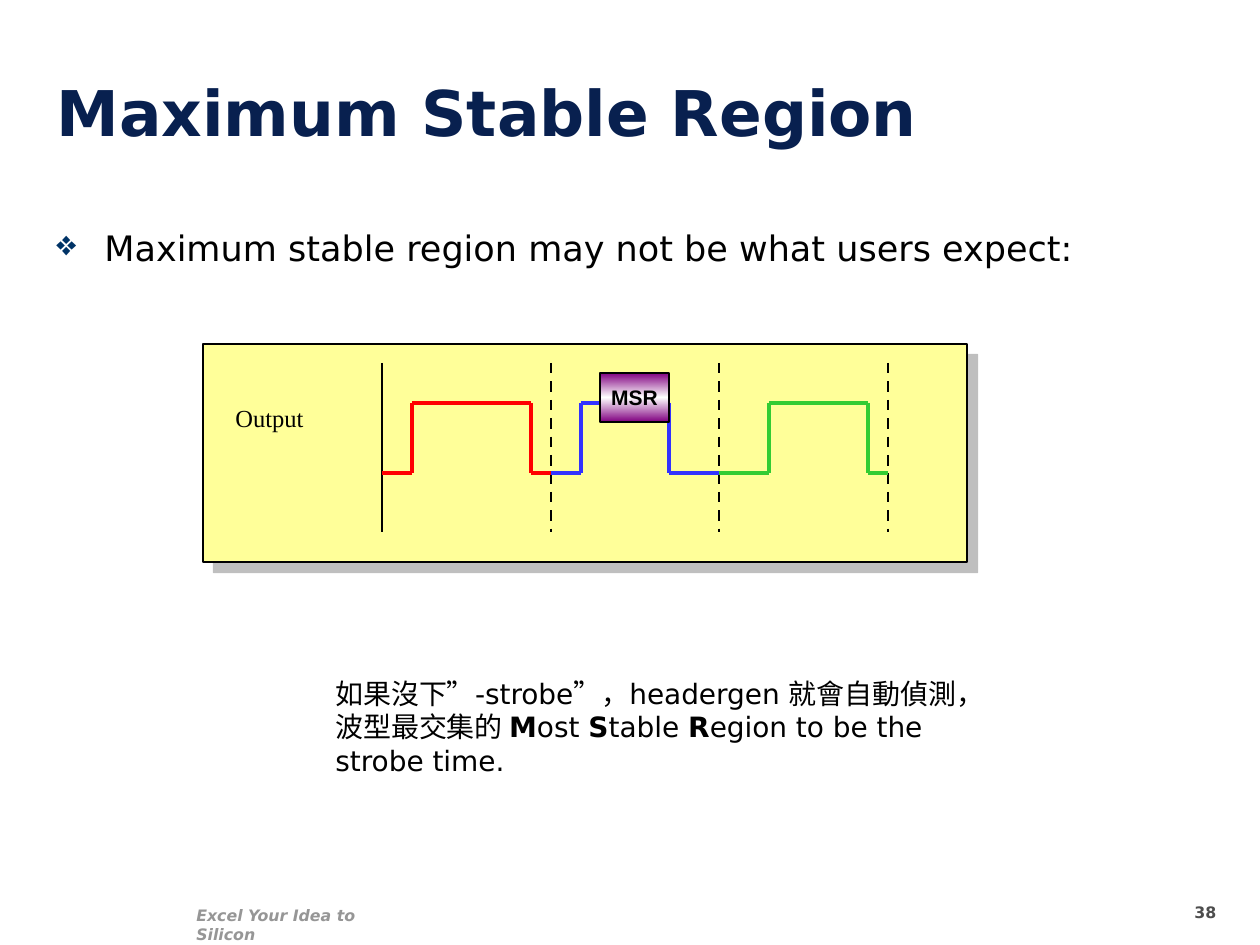
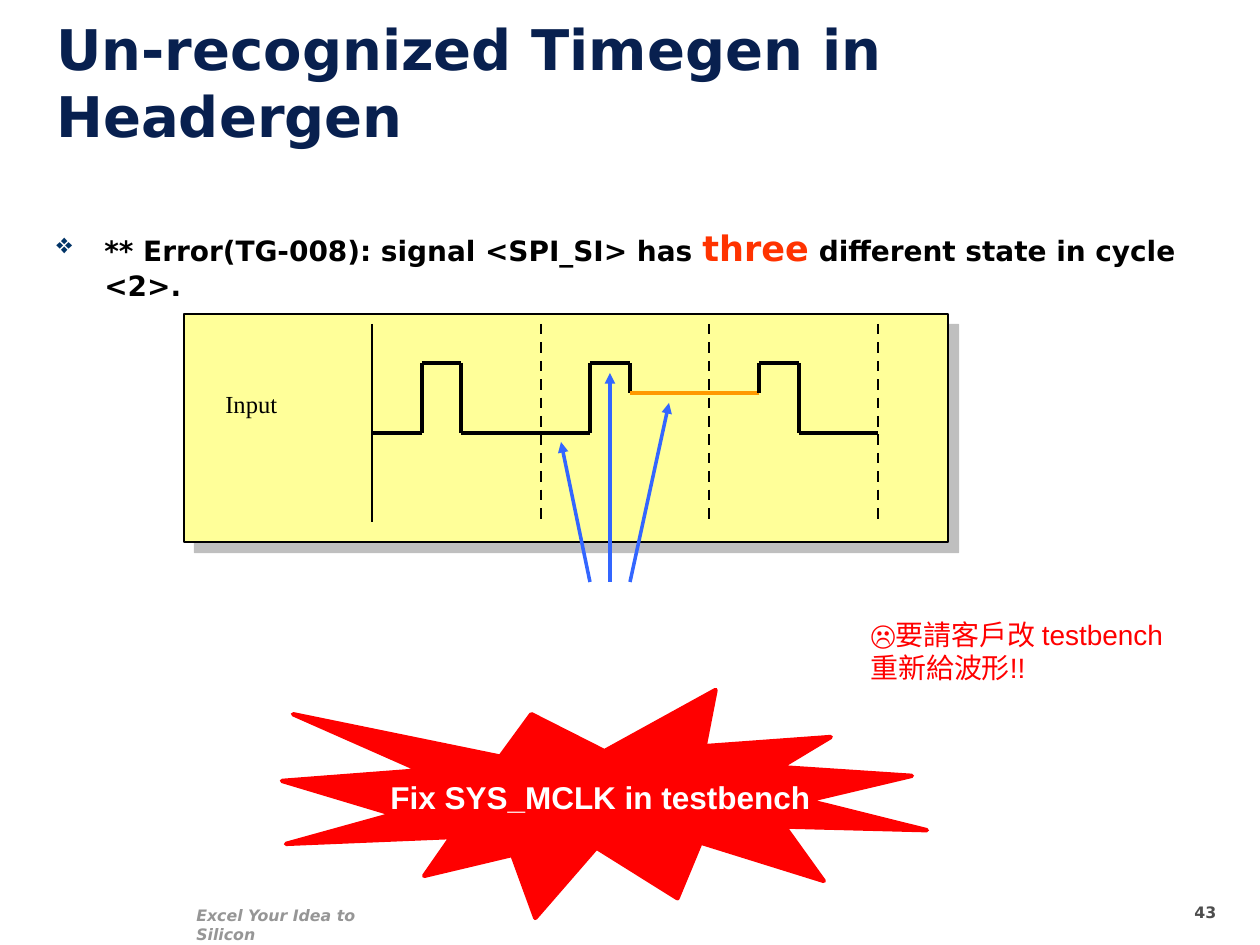
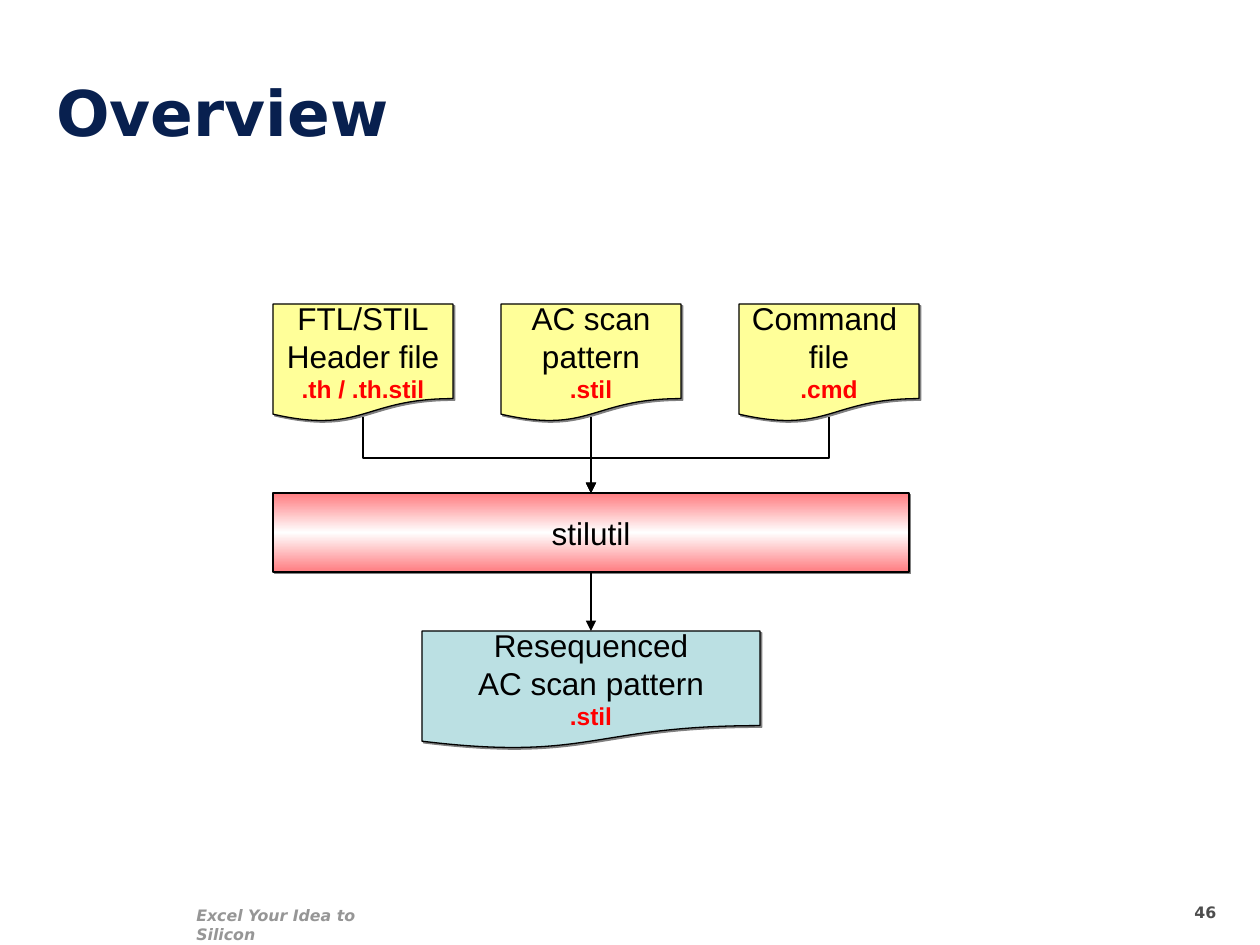
from itertools import pairwise

from lxml import etree
from pptx import Presentation
from pptx.dml.color import RGBColor
from pptx.enum.dml import MSO_LINE
from pptx.enum.shapes import MSO_CONNECTOR, MSO_SHAPE
from pptx.enum.text import MSO_ANCHOR, PP_ALIGN
from pptx.oxml.ns import qn
from pptx.util import Pt

PX = 914400 / 126
WIDTH, HEIGHT = 1260, 945

STRAIGHT, ELBOW = MSO_CONNECTOR.STRAIGHT, MSO_CONNECTOR.ELBOW
RECTANGLE, DOCUMENT = MSO_SHAPE.RECTANGLE, MSO_SHAPE.FLOWCHART_DOCUMENT
BURST = MSO_SHAPE.EXPLOSION1
DASH = MSO_LINE.DASH
TOP, MIDDLE, BOTTOM = MSO_ANCHOR.TOP, MSO_ANCHOR.MIDDLE, MSO_ANCHOR.BOTTOM
CENTER = PP_ALIGN.CENTER
TOP_SIDE, BOTTOM_SIDE = 0, 2

BLACK = RGBColor(0x00, 0x00, 0x00)
WHITE = RGBColor(0xFF, 0xFF, 0xFF)
NAVY = RGBColor(0x08, 0x20, 0x4F)
BULLET_BLUE = RGBColor(0x00, 0x33, 0x66)
FOOTER_GRAY = RGBColor(0x96, 0x96, 0x96)
NUMBER_GRAY = RGBColor(0x4D, 0x4D, 0x4D)
SHADOW_GRAY = RGBColor(0x80, 0x80, 0x80)
YELLOW = RGBColor(0xFF, 0xFF, 0x99)
RED = RGBColor(0xFF, 0x00, 0x00)
BLUE = RGBColor(0x33, 0x33, 0xFF)
GREEN = RGBColor(0x33, 0xCC, 0x33)
ORANGE = RGBColor(0xFF, 0x99, 0x00)
ORANGE_RED = RGBColor(0xFF, 0x33, 0x00)
ARROW_BLUE = RGBColor(0x33, 0x66, 0xFF)
PURPLE = RGBColor(0x80, 0x00, 0x80)
PINK = RGBColor(0xFF, 0x7C, 0x80)
PALE_TEAL = RGBColor(0xBB, 0xE0, 0xE3)

SANS, ARIAL, SERIF = "DejaVu Sans", "Arial", "Times New Roman"

# Shared frame
FOOTER = "Excel Your Idea to Silicon"
FOOTER_BOX = (184, 900, 212, 32)
NUMBER_BOX = (1182, 897, 73, 34)
TITLE_BOX = (44, 35, 903, 120)
BODY_BOX = (44, 220, 1171, 624)
BULLET_INDENT = 48
PANEL_SHADOW = (8.5, 50)
FLOW_SHADOW = (1.4, 100)

# Runs are (text, size, colour, bold)
REGION_BULLET = [("Maximum stable region may not be what users expect:", 20, BLACK, False)]
REGION_PANEL = dict(
    box=(203, 344, 764, 218), label="Output", label_box=(223, 397, 179, 76),
    cycles=(382, 551, 719, 888), span=(363, 532))
REGION_LOW, REGION_HIGH = 473, 403
REGION_PULSES = [  # colour, start, rise, fall, end
    (RED, 382, 412, 531, 551),
    (BLUE, 551, 581, 669, 719),
    (GREEN, 719, 769, 868, 888),
]
MSR_BOX = (600, 373, 69, 49)
STROBE_NOTE_BOX = (323, 670, 684, 113)
STROBE_NOTE = [(text, 16, BLACK, bold) for text, bold in (
    ("如果沒下”-strobe”，headergen 就會自動偵測，波型最交集的 ", False),
    ("M", True), ("ost ", False), ("S", True), ("table ", False),
    ("R", True), ("egion to be the strobe time.", False))]

ERROR_BULLET = [
    ("** Error(TG-008): signal <SPI_SI> has ", 16, BLACK, True),
    ("three", 20, ORANGE_RED, True),
    (" different state in cycle <2>.", 16, BLACK, True),
]
ERROR_PANEL = dict(
    box=(184, 314, 764, 228), label="Input", label_box=(213, 383, 179, 135),
    cycles=(372, 541, 709, 878), span=(324, 522))
ERROR_WAVES = [
    (BLACK, [(372, 433), (422, 433), (422, 363), (461, 363), (461, 433), (541, 433),
             (590, 433), (590, 363), (630, 363), (630, 393)]),
    (ORANGE, [(630, 393), (709, 393), (759, 393)]),
    (BLACK, [(759, 393), (759, 363), (799, 363), (799, 433), (878, 433)]),
]
STATE_ARROWS = [((590, 582), (561, 442)), ((610, 582), (610, 373)), ((630, 582), (669, 403))]
BURST_BOX = (282, 690, 645, 228)
CLIENT_NOTE_BOX = (858, 611, 318, 113)
CLIENT_NOTE = [("☹要請客戶改 testbench\n重新給波形!!", 16, RED, False)]

INPUT_TOP, INPUT_WIDTH, FILE_HEIGHT = 304, 180, 118
INPUT_FILES = [  # left, name, extension
    (273, "FTL/STIL\nHeader file\n", ".th / .th.stil"),
    (501, "AC scan\npattern\n", ".stil"),
    (739, "Command \nfile\n", ".cmd"),
]
TOOL_BOX = (273, 493, 636, 79)
RESULT_BOX = (422, 631, 338, FILE_HEIGHT)
FILE_EXIT = 417
ELBOW_SHARE = 0.541


def emu(*lengths):
    return [round(length * PX) for length in lengths]


def add_runs(paragraph, runs, font_name, italic=False):
    for text, size, color, bold in runs:
        for index, line in enumerate(text.split("\n")):
            if index:
                paragraph.add_line_break()
            if not line:
                continue
            run = paragraph.add_run()
            run.text = line
            font = run.font
            font.name, font.size, font.bold, font.italic = font_name, Pt(size), bold, italic
            font.color.rgb = color


def add_text(slide, box, runs, font_name, anchor=TOP, italic=False, bullet=None):
    frame = slide.shapes.add_textbox(*emu(*box)).text_frame
    frame.word_wrap = True
    frame.vertical_anchor = anchor
    paragraph = frame.paragraphs[0]
    if bullet:
        properties = paragraph._p.get_or_add_pPr()
        indent, = emu(BULLET_INDENT)
        properties.set("marL", str(indent))
        properties.set("indent", str(-indent))
        add_color(etree.SubElement(properties, qn("a:buClr")), BULLET_BLUE)
        etree.SubElement(properties, qn("a:buChar"), char=bullet)
    add_runs(paragraph, runs, font_name, italic)


def add_color(parent, color):
    return etree.SubElement(parent, qn("a:srgbClr"), val=str(color))


def set_mirror_gradient(shape, color):
    """Fade from a colour to white and back, top to bottom."""
    shape.fill.gradient()
    shape.fill.gradient_angle = 90
    stops = shape._element.spPr.find(".//" + qn("a:gsLst"))
    for stop in list(stops):
        stops.remove(stop)
    for position, stop_color in ((0, color), (50000, WHITE), (100000, color)):
        add_color(etree.SubElement(stops, qn("a:gs"), pos=str(position)), stop_color)


def set_shadow(shape, distance, opacity):
    effects = shape._element.spPr.find(qn("a:effectLst"))
    shadow = etree.SubElement(effects, qn("a:outerShdw"), blurRad="0",
                              dist=str(Pt(distance)), dir="2700000", algn="ctr", rotWithShape="0")
    etree.SubElement(add_color(shadow, SHADOW_GRAY), qn("a:alpha"), val=str(opacity * 1000))


def add_box(slide, kind, box, fill, runs=(), gradient=False, line=BLACK, weight=0.75, shadow=None):
    shape = slide.shapes.add_shape(kind, *emu(*box))
    if gradient:
        set_mirror_gradient(shape, fill)
    else:
        shape.fill.solid()
        shape.fill.fore_color.rgb = fill
    shape.line.color.rgb = line
    shape.line.width = Pt(weight)
    shape.shadow.inherit = False
    if shadow:
        set_shadow(shape, *shadow)
    frame = shape.text_frame
    frame.word_wrap = False
    frame.vertical_anchor = MIDDLE
    frame.paragraphs[0].alignment = CENTER
    add_runs(frame.paragraphs[0], runs, ARIAL)
    return shape


def add_line(slide, start, end, color, weight, dash=None, arrow=False, kind=STRAIGHT):
    connector = slide.shapes.add_connector(kind, *emu(*start, *end))
    connector.line.color.rgb = color
    connector.line.width = Pt(weight)
    if dash:
        connector.line.dash_style = dash
    if arrow:
        etree.SubElement(connector.line._get_or_add_ln(), qn("a:tailEnd"), type="triangle")
    etree.SubElement(connector._element.spPr, qn("a:effectLst"))
    return connector


def add_down_elbow(slide, start, end):
    """Elbow that leaves downwards: a sideways elbow turned a quarter."""
    (x1, y1), (x2, y2) = start, end
    center_x, center_y = (x1 + x2) / 2, (y1 + y2) / 2
    half_width, half_height = (y2 - y1) / 2, abs(x2 - x1) / 2
    connector = add_line(slide, (center_x - half_width, center_y - half_height),
                         (center_x + half_width, center_y + half_height),
                         BLACK, 0.75, arrow=True, kind=ELBOW)
    properties = connector._element.spPr
    transform = properties.find(qn("a:xfrm"))
    transform.set("rot", "16200000" if x2 > x1 else "5400000")
    if x2 > x1:
        transform.set("flipH", "1")
    guides = properties.find(qn("a:prstGeom")).get_or_add_avLst()
    etree.SubElement(guides, qn("a:gd"), name="adj1", fmla=f"val {round(ELBOW_SHARE * 100000)}")


def add_wave(slide, points, color):
    for start, end in pairwise(points):
        add_line(slide, start, end, color, 2.25)


def add_timing_panel(slide, box, label, label_box, cycles, span):
    add_box(slide, RECTANGLE, box, YELLOW, shadow=PANEL_SHADOW)
    add_text(slide, label_box, [(label, 14, BLACK, False)], SERIF)
    top, bottom = span
    for index, x in enumerate(cycles):
        add_line(slide, (x, top), (x, bottom), BLACK, 1.5, dash=DASH if index else None)


def add_framed_slide(presentation, title, number, title_size=36):
    slide = presentation.slides.add_slide(presentation.slide_layouts[6])
    add_text(slide, FOOTER_BOX, [(FOOTER, 9, FOOTER_GRAY, True)], SANS, italic=True)
    add_text(slide, NUMBER_BOX, [(str(number), 9, NUMBER_GRAY, True)], SANS)
    add_text(slide, TITLE_BOX, [(title, title_size, NAVY, True)], SANS, anchor=BOTTOM)
    return slide


def build_region_slide(presentation):
    slide = add_framed_slide(presentation, "Maximum Stable Region", 38)
    add_text(slide, BODY_BOX, REGION_BULLET, SANS, bullet="❖")
    add_timing_panel(slide, **REGION_PANEL)
    for color, start, rise, fall, end in REGION_PULSES:
        add_wave(slide, [(start, REGION_LOW), (rise, REGION_LOW), (rise, REGION_HIGH),
                         (fall, REGION_HIGH), (fall, REGION_LOW), (end, REGION_LOW)], color)
    add_box(slide, RECTANGLE, MSR_BOX, PURPLE, [("MSR", 12, BLACK, True)], gradient=True)
    add_text(slide, STROBE_NOTE_BOX, STROBE_NOTE, SANS)


def build_error_slide(presentation):
    slide = add_framed_slide(presentation, "Un-recognized Timegen in Headergen", 43, title_size=32)
    add_text(slide, BODY_BOX, ERROR_BULLET, SANS, bullet="❖")
    add_timing_panel(slide, **ERROR_PANEL)
    for color, points in ERROR_WAVES:
        add_wave(slide, points, color)
    add_box(slide, BURST, BURST_BOX, RED, [("Fix SYS_MCLK in testbench", 18, WHITE, True)],
            line=RED, weight=2.5)
    for start, end in STATE_ARROWS:
        add_line(slide, start, end, ARROW_BLUE, 2, arrow=True)
    add_text(slide, CLIENT_NOTE_BOX, CLIENT_NOTE, ARIAL)


def add_file(slide, box, fill, name, extension):
    runs = [(name, 18, BLACK, False), (extension, 14, RED, True)]
    return add_box(slide, DOCUMENT, box, fill, runs, shadow=FLOW_SHADOW)


def build_overview_slide(presentation):
    slide = add_framed_slide(presentation, "Overview", 46)
    for left, name, extension in INPUT_FILES:
        add_file(slide, (left, INPUT_TOP, INPUT_WIDTH, FILE_HEIGHT), YELLOW, name, extension)
    tool = add_box(slide, RECTANGLE, TOOL_BOX, PINK, [("stilutil", 18, BLACK, False)],
                   gradient=True, shadow=FLOW_SHADOW)
    result = add_file(slide, RESULT_BOX, PALE_TEAL, "Resequenced\nAC scan pattern\n", ".stil")

    # Files flow into the tool, and the tool into its result
    tool_left, tool_top, tool_width, tool_height = TOOL_BOX
    middle = tool_left + tool_width // 2
    for left, _, _ in INPUT_FILES:
        x = left + INPUT_WIDTH // 2
        start, end = (x, FILE_EXIT), (middle, tool_top)
        if x == middle:
            add_line(slide, start, end, BLACK, 0.75, arrow=True).end_connect(tool, TOP_SIDE)
        else:
            add_down_elbow(slide, start, end)
    output = add_line(slide, (middle, tool_top + tool_height), (middle, RESULT_BOX[1]),
                      BLACK, 0.75, arrow=True)
    output.begin_connect(tool, BOTTOM_SIDE)
    output.end_connect(result, TOP_SIDE)


def main():
    presentation = Presentation()
    presentation.slide_width, presentation.slide_height = emu(WIDTH, HEIGHT)
    build_region_slide(presentation)
    build_error_slide(presentation)
    build_overview_slide(presentation)
    presentation.save("out.pptx")


if __name__ == "__main__":
    main()
